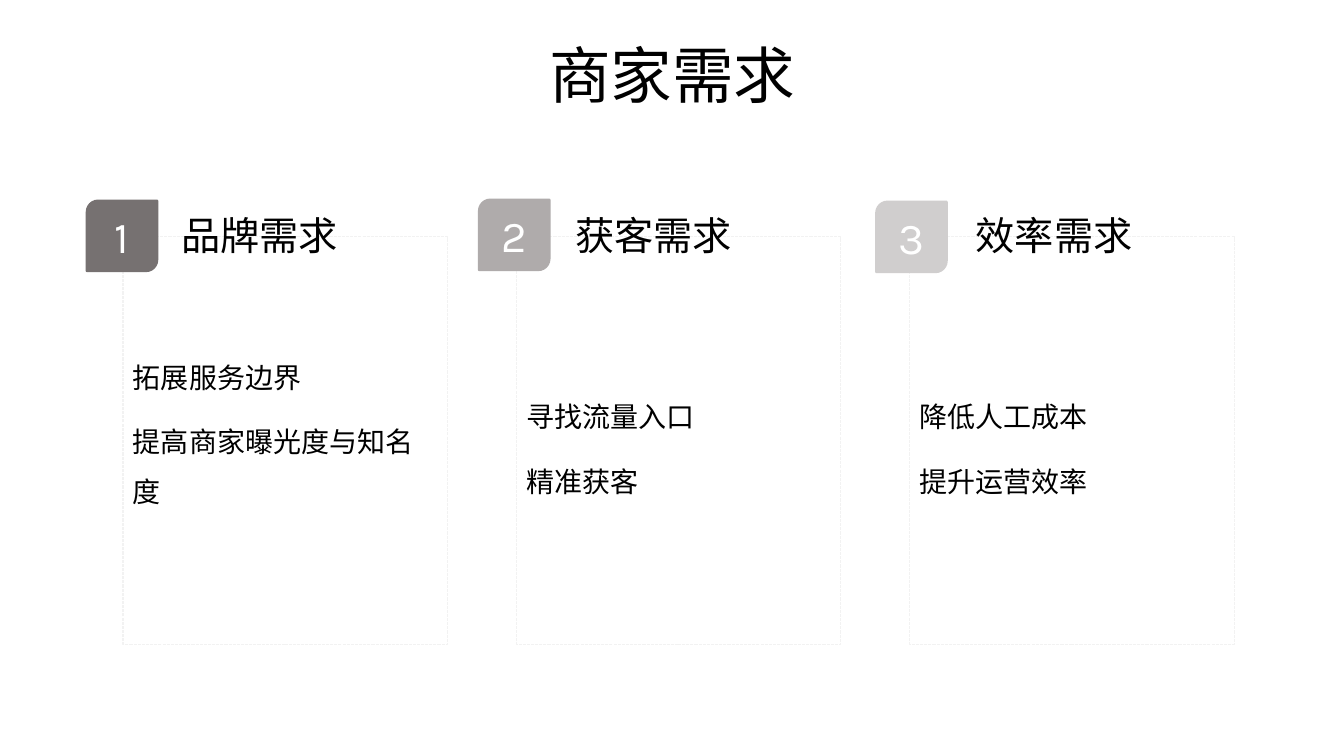
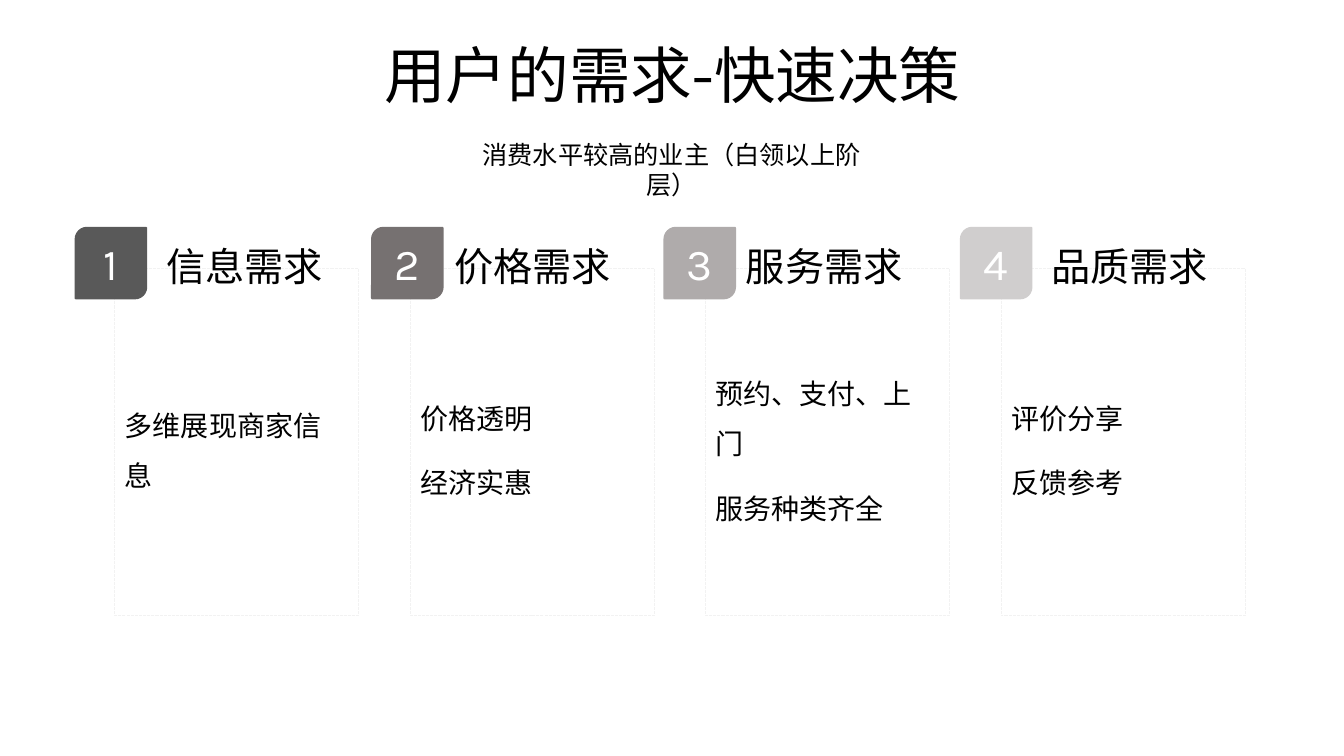
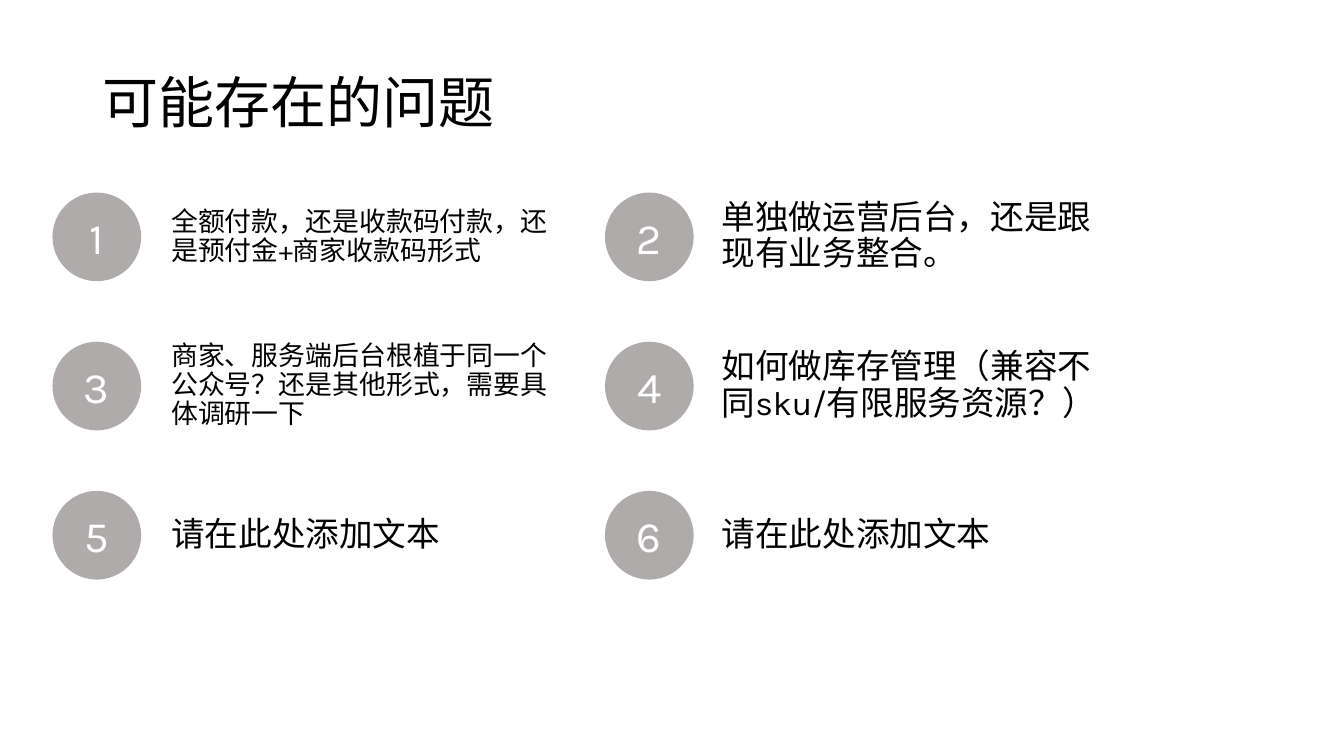
from pptx import Presentation
from pptx.dml.color import RGBColor
from pptx.enum.dml import MSO_LINE
from pptx.enum.shapes import MSO_SHAPE
from pptx.enum.text import MSO_ANCHOR, MSO_AUTO_SIZE, PP_ALIGN
from pptx.util import Inches, Pt

THEME = {
    "font": "Karla",
    "ink": "000000",
    "paper": "FFFFFF",
    "outline": "F2F2F2",
    "greys": ["595959", "767171", "AFABAB", "D0CECE"],
    "sizes": {"title": 44, "left_title": 40, "heading": 28, "subtitle": 18,
              "list": 20, "badge": 31.5, "circle": 31, "issue": 24, "long_issue": 19.2},
}

FORMATS = {
    "title": {"alignment": PP_ALIGN.CENTER, "line_spacing": 0.9},
    "left_title": {"alignment": PP_ALIGN.LEFT, "line_spacing": 0.9},
    "heading": {"alignment": PP_ALIGN.LEFT},
    "subtitle": {"alignment": PP_ALIGN.CENTER},
    "list": {"alignment": PP_ALIGN.LEFT, "line_spacing": 1.5, "space_before": Pt(10)},
    "badge": {"alignment": PP_ALIGN.CENTER},
    "circle": {"alignment": PP_ALIGN.CENTER},
    "issue": {"alignment": PP_ALIGN.LEFT, "line_spacing": 0.9, "space_before": Pt(10)},
    "long_issue": {"alignment": PP_ALIGN.LEFT, "line_spacing": 0.9, "space_before": Pt(10)},
}

TITLE_AREA = (0.92, 0.4, 11.5, 1.45)
LEFT_TITLE_AREA = (0.92, 0.51, 11.5, 1.07)
SUBTITLE_AREA = (4.45, 1.33, 4.42, 0.4)
BADGE_SIDE = 0.72
HEADING_SIZE = (2.23, 0.57)

CARD_PAGES = [
    {
        "title": "商家需求",
        "greys": THEME["greys"][1:],
        "grid": {"left": 1.22, "top": 2.35, "pitch": 3.9, "size": (3.22, 4.04)},
        "heading_top": 2.05,
        "cards": [
            {"heading": "品牌需求", "lines": ["拓展服务边界", "提高商家曝光度与知名度"],
             "badge": (0.85, 1.98), "heading_left": 1.7, "bottom_inset": 0.34},
            {"heading": "获客需求", "lines": ["寻找流量入口", "精准获客"],
             "badge": (4.74, 1.97), "heading_left": 5.61},
            {"heading": "效率需求", "lines": ["降低人工成本", "提升运营效率"],
             "badge": (8.68, 1.99), "heading_left": 9.58},
        ],
    },
    {
        "title": "用户的需求-快速决策",
        "subtitle": "消费水平较高的业主（白领以上阶层）",
        "greys": THEME["greys"],
        "grid": {"left": 1.14, "top": 2.66, "pitch": 2.93, "size": (2.42, 3.45)},
        "heading_top": 2.35,
        "cards": [
            {"heading": "信息需求", "lines": ["多维展现商家信息"],
             "badge": (0.74, 2.25), "heading_left": 1.55},
            {"heading": "价格需求", "lines": ["价格透明", "经济实惠"],
             "badge": (3.68, 2.25), "heading_left": 4.41},
            {"heading": "服务需求", "lines": ["预约、支付、上门", "服务种类齐全"],
             "badge": (6.58, 2.25), "heading_left": 7.3},
            {"heading": "品质需求", "lines": ["评价分享", "反馈参考"],
             "badge": (9.52, 2.25), "heading_left": 10.33},
        ],
    },
]

ISSUES_TITLE = "可能存在的问题"
ISSUES = [
    ("全额付款，还是收款码付款，还是预付金+商家收款码形式", "long_issue"),
    ("单独做运营后台，还是跟现有业务整合。", "issue"),
    ("商家、服务端后台根植于同一个公众号？还是其他形式，需要具体调研一下", "long_issue"),
    ("如何做库存管理（兼容不同sku/有限服务资源？）", "issue"),
    ("请在此处添加文本", "issue"),
    ("请在此处添加文本", "issue"),
]
ISSUE_GRID = {"circle_lefts": (0.52, 6), "text_lefts": (1.6, 7.06), "top": 1.91,
              "pitch": 1.48, "circle": 0.88, "text_size": (3.98, 1.03)}


def color(value):
    return RGBColor.from_string(value)


def write(box, lines, role, ink=THEME["ink"], anchor=MSO_ANCHOR.MIDDLE):
    frame = box.text_frame
    for name, value in {"word_wrap": True, "auto_size": MSO_AUTO_SIZE.NONE,
                        "vertical_anchor": anchor}.items():
        setattr(frame, name, value)
    for index, line in enumerate(lines):
        para = frame.paragraphs[0] if index == 0 else frame.add_paragraph()
        for name, value in FORMATS[role].items():
            setattr(para, name, value)
        span = para.add_run()
        span.text = line
        span.font.name = THEME["font"]
        span.font.size = Pt(THEME["sizes"][role])
        span.font.color.rgb = color(ink)


def add_label(page, area, text, role, anchor=MSO_ANCHOR.TOP):
    box = page.shapes.add_textbox(*map(Inches, area))
    write(box, [text], role, anchor=anchor)


def add_figure(page, kind, area, fill=None, outline=None):
    shape = page.shapes.add_shape(kind, *map(Inches, area))
    shape.shadow.inherit = False
    if fill:
        shape.fill.solid()
        shape.fill.fore_color.rgb = color(fill)
    else:
        shape.fill.background()
    if outline:
        shape.line.color.rgb = color(outline)
        shape.line.width = Pt(0.75)
        shape.line.dash_style = MSO_LINE.SQUARE_DOT
    else:
        shape.line.fill.background()
    return shape


def add_page(deck, title, area, role, anchor):
    page = deck.slides.add_slide(deck.slide_layouts.get_by_name("Title Only"))
    page.background.fill.solid()
    page.background.fill.fore_color.rgb = color(THEME["paper"])
    box = page.shapes.title
    for name, value in zip(("left", "top", "width", "height"), area):
        setattr(box, name, Inches(value))
    write(box, [title], role, anchor=anchor)
    return page


def add_card_page(deck, content):
    page = add_page(deck, content["title"], TITLE_AREA, "title", MSO_ANCHOR.TOP)
    if "subtitle" in content:
        add_label(page, SUBTITLE_AREA, content["subtitle"], "subtitle")
    grid = content["grid"]
    for index, (card, grey) in enumerate(zip(content["cards"], content["greys"])):
        left = grid["left"] + index * grid["pitch"]
        panel = add_figure(page, MSO_SHAPE.RECTANGLE, (left, grid["top"], *grid["size"]),
                           outline=THEME["outline"])
        write(panel, card["lines"], "list")
        panel.text_frame.margin_bottom = Inches(card.get("bottom_inset", 0.05))
        badge = add_figure(page, MSO_SHAPE.ROUND_2_DIAG_RECTANGLE,
                           (*card["badge"], BADGE_SIDE, BADGE_SIDE), fill=grey)
        badge.adjustments[0], badge.adjustments[1] = 0.17, 0.02
        write(badge, [str(index + 1)], "badge", THEME["paper"])
        add_label(page, (card["heading_left"], content["heading_top"], *HEADING_SIZE),
                  card["heading"], "heading")


def add_issue_page(deck):
    page = add_page(deck, ISSUES_TITLE, LEFT_TITLE_AREA, "left_title", MSO_ANCHOR.MIDDLE)
    grid = ISSUE_GRID
    side = grid["circle"]
    width, height = grid["text_size"]
    for index, (text, role) in enumerate(ISSUES):
        row, column = divmod(index, 2)
        top = grid["top"] + row * grid["pitch"]
        circle = add_figure(page, MSO_SHAPE.OVAL,
                            (grid["circle_lefts"][column], top, side, side),
                            fill=THEME["greys"][2])
        write(circle, [str(index + 1)], "circle", THEME["paper"])
        text_top = top + (side - height) / 2
        add_label(page, (grid["text_lefts"][column], text_top, width, height),
                  text, role, MSO_ANCHOR.MIDDLE)


def main():
    deck = Presentation()
    deck.slide_width, deck.slide_height = Inches(13.33), Inches(7.5)
    for content in CARD_PAGES:
        add_card_page(deck, content)
    add_issue_page(deck)
    deck.save("out.pptx")


if __name__ == "__main__":
    main()
